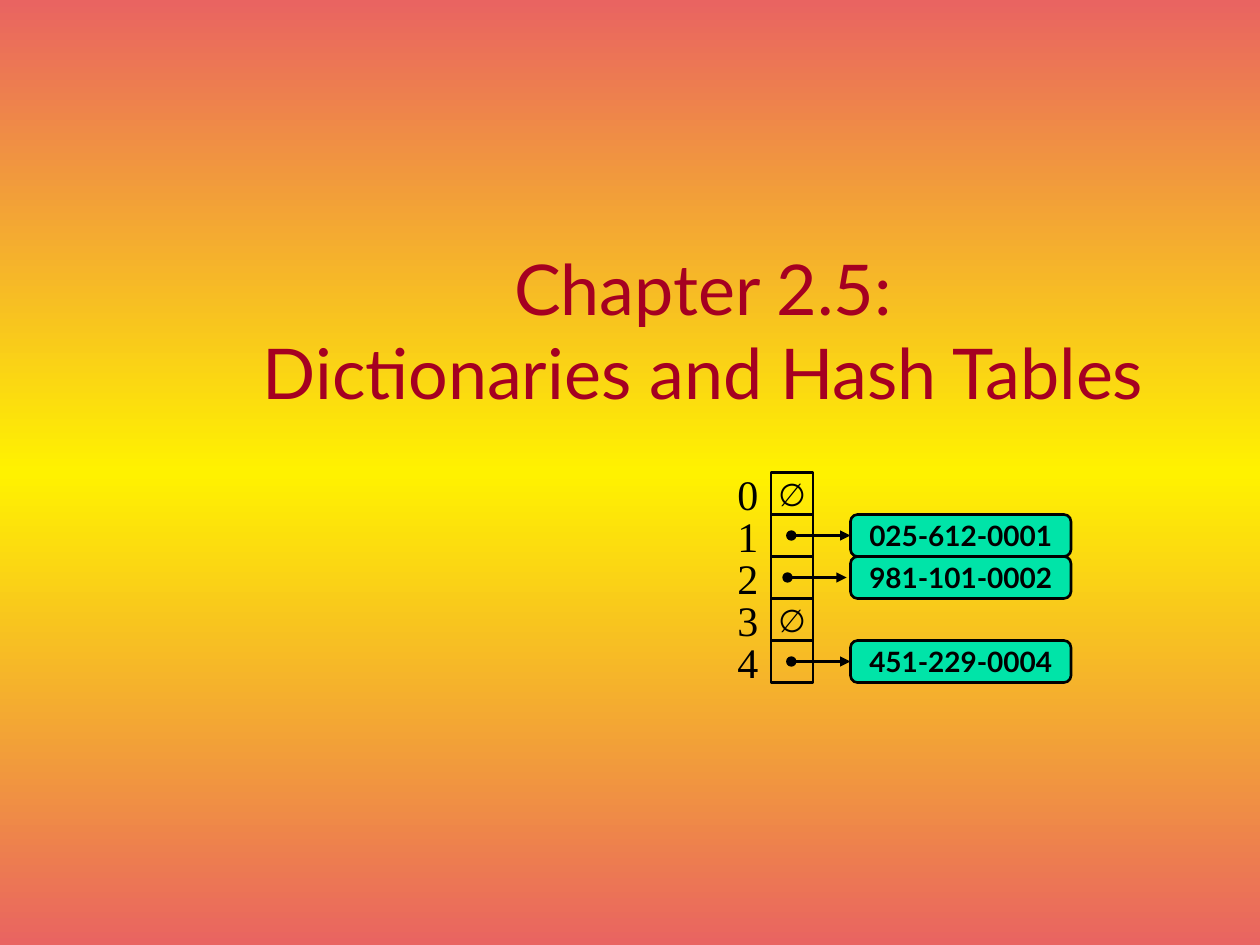
from copy import deepcopy

from lxml import etree
from pptx import Presentation
from pptx.dml.color import RGBColor
from pptx.enum import shapes, text
from pptx.oxml.ns import qn
from pptx.util import Inches, Pt


def rgb(value):
    return RGBColor.from_string(value)


def write(tf, content, size, color="000000", font="Lato", bold=False,
          anchor=text.MSO_ANCHOR.MIDDLE, wrap=False):
    tf.word_wrap = wrap
    tf.vertical_anchor = anchor
    p = tf.paragraphs[0]
    p.text = content
    p.alignment = text.PP_ALIGN.CENTER
    for r in p.runs:
        r.font.size = Pt(size)
        r.font.name = font
        r.font.bold = bold
        r.font.color.rgb = rgb(color)
    for br in p._p.findall(qn("a:br")):
        etree.SubElement(br, qn("a:rPr"), sz=str(size * 100))


prs = Presentation()
prs.slide_width, prs.slide_height = Inches(10), Inches(7.5)
s = prs.slides.add_slide(prs.slide_layouts[0])
subtitle = s.placeholders[1].element
subtitle.getparent().remove(subtitle)

# Background: red - yellow - red, top to bottom
fill = s.background.fill
fill.gradient()
fill.gradient_angle = 90
stop_list = s.element.find(".//" + qn("a:gsLst"))
stop_list.append(deepcopy(stop_list[-1]))
for stop, position, color in zip(fill.gradient_stops, (0, 0.5, 1),
                                 ("E96461", "FFF200", "E96461")):
    stop.position = position
    stop.color.rgb = rgb(color)

title = s.shapes.title
title.left, title.top = Inches(1.33), Inches(2.08)
title.width, title.height = Inches(8.5), Inches(1.25)
title.text_frame.auto_size = text.MSO_AUTO_SIZE.NONE
write(title.text_frame, "Chapter 2.5:\vDictionaries and Hash Tables", 40,
      color="A50021", anchor=text.MSO_ANCHOR.BOTTOM, wrap=True)

# Hash table: index, bucket, and the entry it points to (with arrow start)
TOP, ROW = 3.75, 1 / 3
buckets = [None, ("025-612-0001", 6.28), ("981-101-0002", 6.25),
           None, ("451-229-0004", 6.28)]

for i, entry in enumerate(buckets):
    y = TOP + i * ROW
    cell = s.shapes.add_shape(shapes.MSO_SHAPE.RECTANGLE, Inches(6.12),
                              Inches(y), Inches(ROW), Inches(ROW))
    cell.shadow.inherit = False
    cell.fill.background()
    cell.line.color.rgb = rgb("000000")
    cell.line.width = Pt(1.5)

    index = s.shapes.add_textbox(Inches(5.75), Inches(y - 0.08),
                                 Inches(0.37), Inches(0.5))
    index.text_frame.auto_size = text.MSO_AUTO_SIZE.SHAPE_TO_FIT_TEXT
    write(index.text_frame, str(i), 24, font="Times New Roman",
          anchor=text.MSO_ANCHOR.TOP)

    if entry is None:
        write(cell.text_frame, "∅", 18)
        continue

    key, start = entry
    box = s.shapes.add_shape(shapes.MSO_SHAPE.ROUNDED_RECTANGLE, Inches(6.75),
                             Inches(y), Inches(1.75), Inches(ROW))
    box.shadow.inherit = False
    box.fill.solid()
    box.fill.fore_color.rgb = rgb("00E4A8")
    box.line.color.rgb = rgb("000000")
    box.line.width = Pt(1.5)
    write(box.text_frame, key, 16, bold=True)

    middle = Inches(y + ROW / 2)
    arrow = s.shapes.add_connector(shapes.MSO_CONNECTOR.STRAIGHT, Inches(start),
                                   middle, Inches(start + 0.47), middle)
    arrow.line.color.rgb = rgb("000000")
    arrow.line.width = Pt(1.5)
    ln = arrow.line._get_or_add_ln()
    etree.SubElement(ln, qn("a:headEnd"), type="oval")
    etree.SubElement(ln, qn("a:tailEnd"), type="triangle")
    etree.SubElement(arrow.element.spPr, qn("a:effectLst"))

prs.save("out.pptx")
